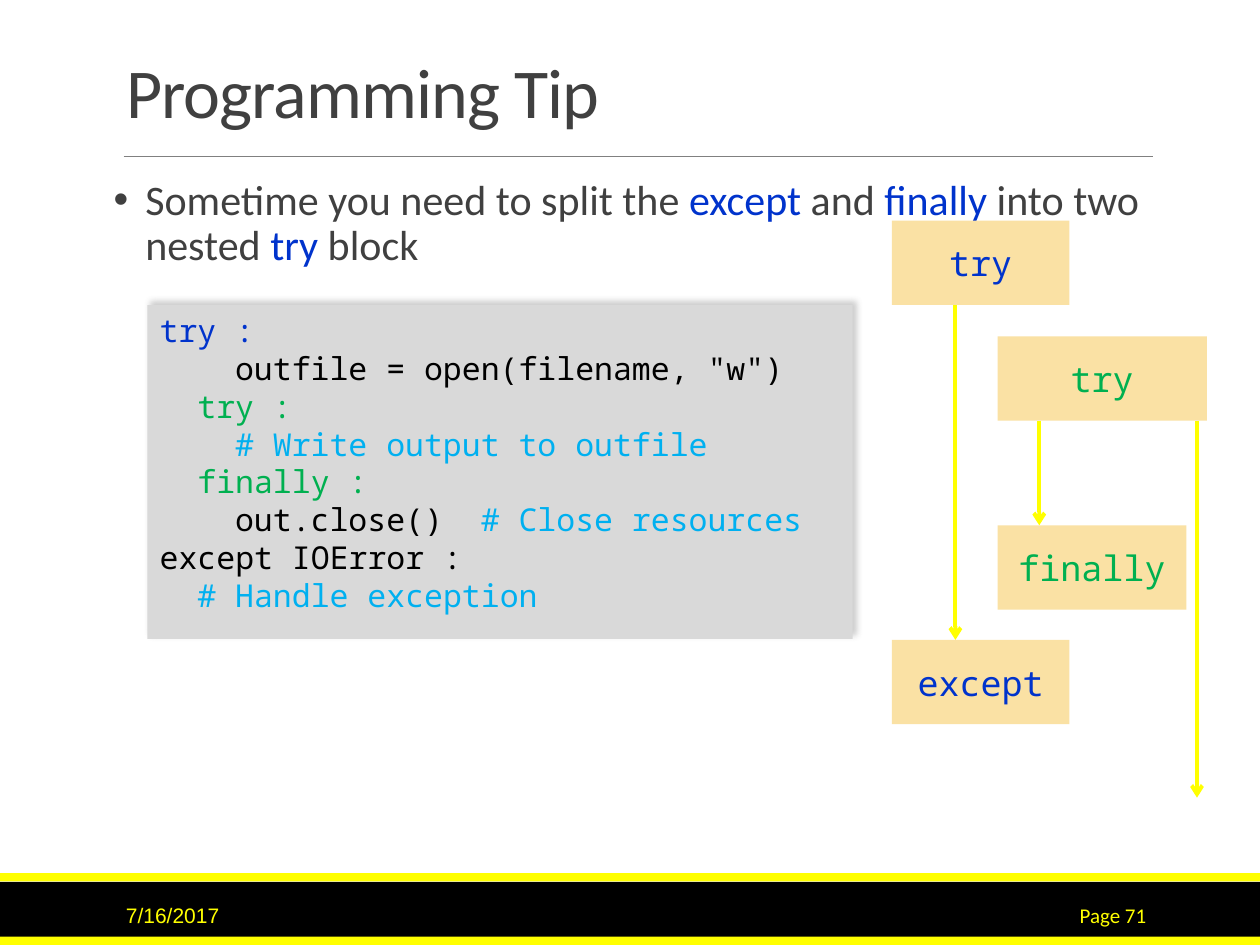
from dataclasses import dataclass

from lxml import etree
from pptx import Presentation, util as u
from pptx.dml.color import RGBColor
from pptx.enum import shapes, text
from pptx.oxml import ns


@dataclass(frozen=True)
class Theme:
    """Colours, fonts and type sizes of the slide."""
    ink: str = "404040"
    rule: str = "808080"
    bar: str = "000000"
    accent: str = "FFFF00"
    panel: str = "D9D9D9"
    block: str = "FAE1A4"
    code: str = "000000"
    outer: str = "0033CC"
    inner: str = "00B050"
    comment: str = "00B0F0"
    body_font: str = "Calibri"
    date_font: str = "Arial"
    code_font: str = "Noto Sans Mono"
    title_size: int = 40
    body_size: int = 24
    block_size: int = 20
    code_size: int = 18
    footer_size: int = 12


@dataclass(frozen=True)
class Box:
    """A region of the slide in centimetres."""
    left: float
    top: float
    width: float
    height: float

    def inset(self, x, y, width, height):
        """Return a box placed relative to this one."""
        return Box(self.left + x, self.top + y, width, height)

    def lengths(self):
        """Return left, top, width and height as lengths."""
        return [u.Cm(v) for v in (self.left, self.top, self.width, self.height)]


THEME = Theme()


def add_element(parent, tag, **attributes):
    """Append a DrawingML element to its parent."""
    return etree.SubElement(parent, ns.qn(f"a:{tag}"), attributes)


def write(frame, lines, *, size, font=THEME.body_font, align="LEFT", anchor="TOP",
          side=0.25, line_spacing=None, before=0, after=0, tracking=None, bullet=None):
    """Fill a frame with (indent, [(words, colour), ...]) lines."""
    frame.word_wrap = True
    frame.auto_size = text.MSO_AUTO_SIZE.NONE
    frame.vertical_anchor = text.MSO_ANCHOR[anchor]
    frame.margin_left = frame.margin_right = u.Cm(side)
    for number, (indent, runs) in enumerate(lines):
        line = frame.add_paragraph() if number else frame.paragraphs[0]
        line.alignment = text.PP_ALIGN[align]
        line.space_before, line.space_after = u.Pt(before), u.Pt(after)
        if line_spacing:
            line.line_spacing = line_spacing
        properties = line._p.get_or_add_pPr()
        properties.set("marL", str(u.Cm(indent)))
        properties.set("indent", str(-u.Cm(indent) if bullet else 0))
        if bullet:
            add_element(properties, "buFont", typeface="Arial")
            add_element(properties, "buChar", char=bullet)
        for words, colour in runs:
            run = line.add_run()
            run.text = words
            run.font.name, run.font.size = font, u.Pt(size)
            run.font.color.rgb = RGBColor.from_string(colour)
            if tracking:
                run._r.get_or_add_rPr().set("spc", str(tracking))


def add_rectangle(slide, box, fill):
    """Add a plain filled rectangle."""
    rectangle = slide.shapes.add_shape(shapes.MSO_SHAPE.RECTANGLE, *box.lengths())
    rectangle.shadow.inherit = False
    rectangle.fill.solid()
    rectangle.fill.fore_color.rgb = RGBColor.from_string(fill)
    rectangle.line.fill.background()
    return rectangle


def add_line(slide, box, colour, width, arrow=False):
    """Draw a line from the top left to the bottom right of a box."""
    left, top, across, down = box.lengths()
    line = slide.shapes.add_connector(
        shapes.MSO_CONNECTOR.STRAIGHT, left, top, left + across, top + down)
    line.line.color.rgb = RGBColor.from_string(colour)
    line.line.width = u.Pt(width)
    properties = line._element.spPr
    if arrow:
        add_element(properties.find(ns.qn("a:ln")), "tailEnd", type="arrow")
    add_element(properties, "effectLst")


def add_label(slide, box, lines, **formatting):
    """Add a text box with formatted lines."""
    label = slide.shapes.add_textbox(*box.lengths())
    write(label.text_frame, lines, **formatting)


def add_heading(slide, box):
    """Place the title and the rule below it."""
    title = slide.shapes.title
    title.left, title.top, title.width, title.height = box.inset(0, 0, box.width, 2.01).lengths()
    write(title.text_frame, [(0, [("Programming Tip", THEME.ink)])],
          size=THEME.title_size, anchor="BOTTOM", line_spacing=0.85, tracking=-50)
    add_line(slide, box.inset(0.2, box.height, 20.75, 0), THEME.rule, 0.5)


def add_advice(slide, box):
    """Place the bulleted advice."""
    advice = [("Sometime you need to split the ", THEME.ink), ("except", THEME.outer),
              (" and ", THEME.ink), ("finally", THEME.outer),
              (" into two nested ", THEME.ink), ("try", THEME.outer),
              (" block", THEME.ink)]
    add_label(slide, box, [(0.64, advice)], size=THEME.body_size, side=0,
              line_spacing=0.9, before=12, after=2, bullet="•")


def add_code(slide, box):
    """Place the code panel with its shadow."""
    panel = add_rectangle(slide, box, THEME.panel)
    effects = panel._element.spPr.find(ns.qn("a:effectLst"))
    shadow = add_element(effects, "outerShdw", blurRad=str(u.Pt(4)), dist=str(u.Pt(3)),
                         dir=str(315 * 60000), algn="bl", rotWithShape="0")
    shade = add_element(shadow, "srgbClr", val=THEME.rule)
    add_element(shade, "alpha", val="40000")
    step = 0.76
    listing = [
        (0, [("try :", THEME.outer)]),
        (2, [('outfile = open(filename, "w")', THEME.code)]),
        (1, [("try :", THEME.inner)]),
        (2, [("# Write output to outfile", THEME.comment)]),
        (1, [("finally :", THEME.inner)]),
        (2, [("out.close()  ", THEME.code), ("# Close resources", THEME.comment)]),
        (0, [("except IOError :", THEME.code)]),
        (1, [("# Handle exception", THEME.comment)]),
    ]
    write(panel.text_frame, [(level * step, runs) for level, runs in listing],
          size=THEME.code_size, font=THEME.code_font)


def add_flow(slide, box):
    """Place the nested blocks and the arrows between them."""
    block_height, nested = 1.7, 2.13
    blocks = [("try", 0, 0, 3.58, THEME.outer),
              ("try", nested, 2.33, 4.22, THEME.inner),
              ("finally", nested, 6.14, 3.81, THEME.inner),
              ("except", 0, 8.45, 3.58, THEME.outer)]
    for keyword, x, y, width, colour in blocks:
        block = add_rectangle(slide, box.inset(x, y, width, block_height), THEME.block)
        write(block.text_frame, [(0, [(keyword, colour)])], size=THEME.block_size,
              font=THEME.code_font, align="CENTER", anchor="MIDDLE")
    for x, start, end in [(1.28, 1.7, 8.45), (2.97, 4.03, 6.14), (6.15, 4.03, box.height)]:
        add_line(slide, box.inset(x, start, 0, end - start), THEME.accent, 2.25, arrow=True)


def add_footer(slide, box):
    """Place the footer bar with the date and page number."""
    add_rectangle(slide, box.inset(0, 0.18, box.width, box.height - 0.18), THEME.bar)
    for y in (0, box.height - 0.17):
        add_rectangle(slide, box.inset(0, y, box.width, 0.17), THEME.accent)
    entries = [("7/16/2017", 2.29, 5.16, THEME.date_font, "LEFT"),
               ("Page 71", 20.62, 2.74, THEME.body_font, "RIGHT")]
    for words, x, width, font, align in entries:
        add_label(slide, box.inset(x, 0.33, width, 1.02), [(0, [(words, THEME.accent)])],
                  size=THEME.footer_size, font=font, align=align, anchor="MIDDLE")


def main():
    """Build and save the slide."""
    deck = Presentation()
    deck.slide_width, deck.slide_height = u.Cm(25.4), u.Cm(19.05)
    slide = deck.slides.add_slide(deck.slide_layouts[5])
    add_footer(slide, Box(0, 17.6, 25.4, 1.45))
    add_heading(slide, Box(2.29, 0.79, 20.96, 2.36))
    add_advice(slide, Box(2.29, 3.48, 20.96, 12.83))
    add_code(slide, Box(2.97, 6.15, 14.22, 6.73))
    add_flow(slide, Box(17.98, 4.45, 6.35, 11.63))
    deck.save("out.pptx")


if __name__ == "__main__":
    main()
